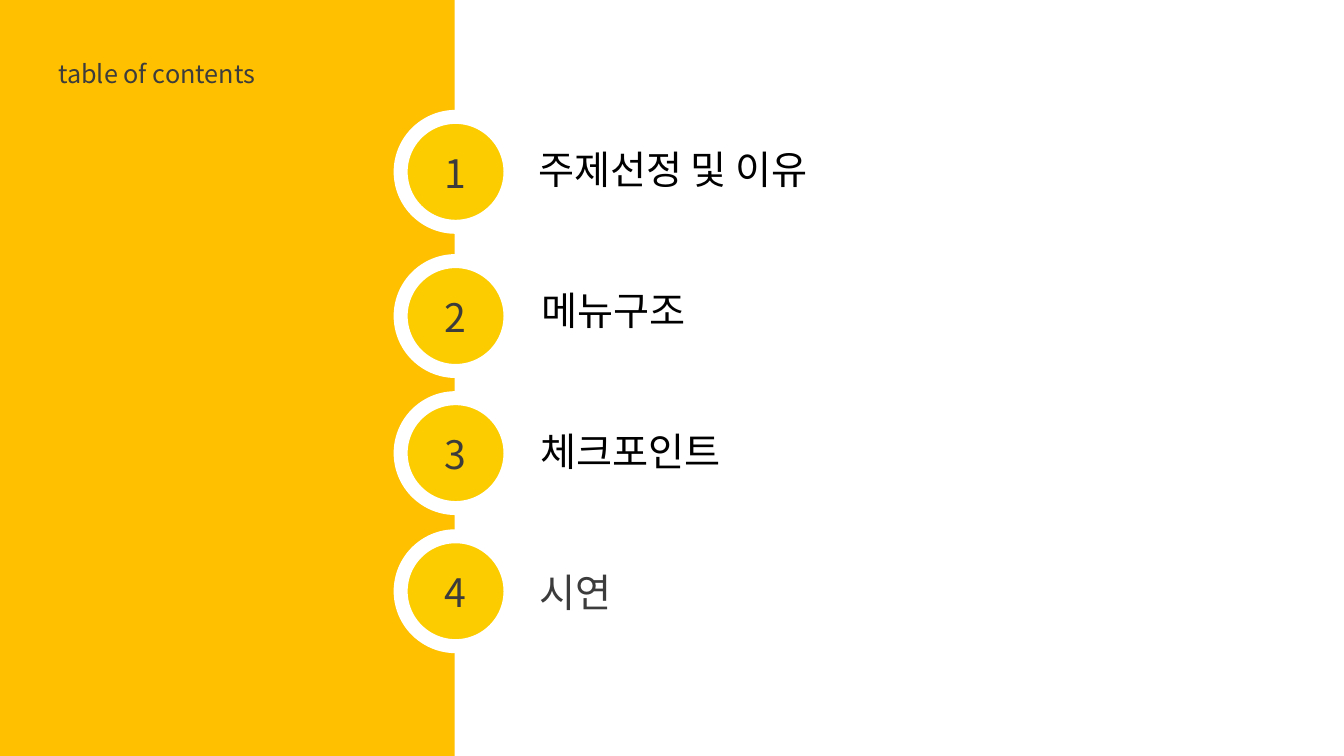
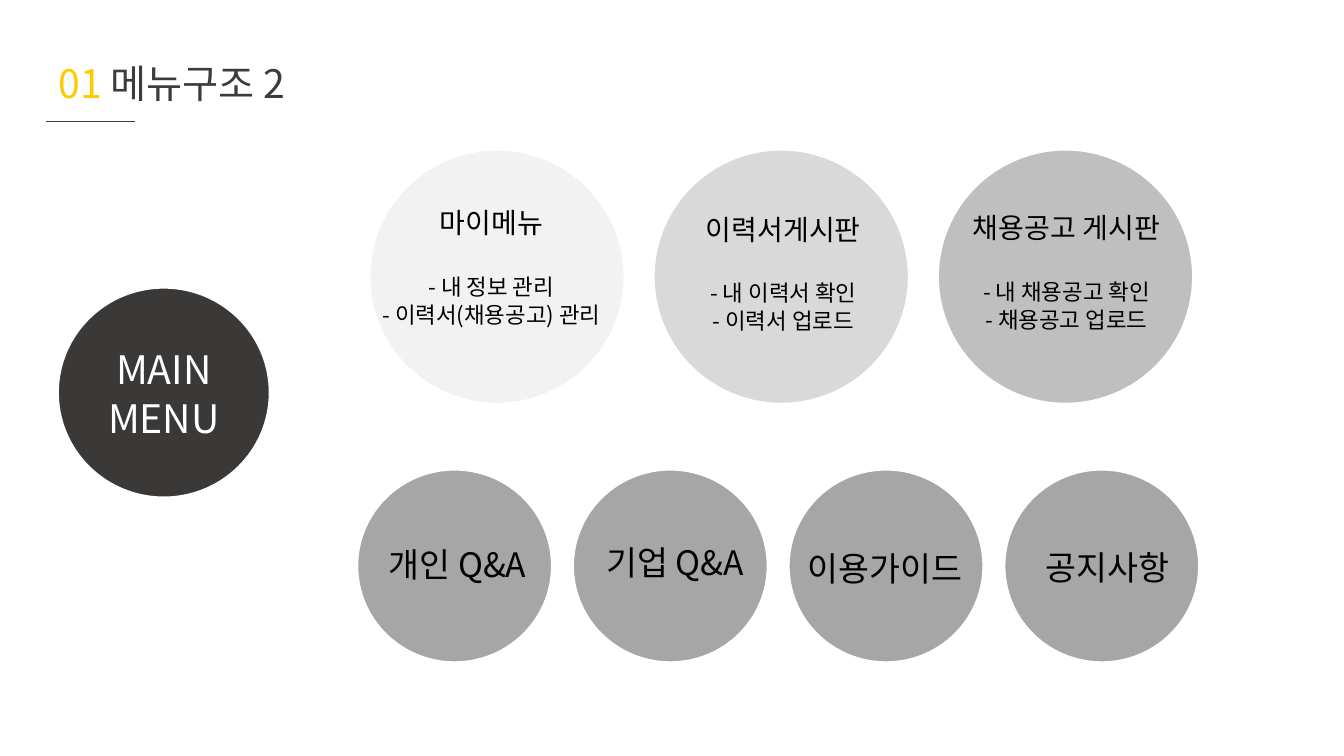
from dataclasses import dataclass

from lxml.etree import SubElement
from pptx import Presentation
from pptx.dml.color import RGBColor
from pptx.enum.shapes import MSO_CONNECTOR, MSO_SHAPE
from pptx.enum.text import MSO_ANCHOR, MSO_AUTO_SIZE, PP_ALIGN
from pptx.oxml.ns import qn
from pptx.util import Inches, Pt

FONT = "Noto Sans CJK KR"
WIDTH, HEIGHT = Inches(13.33), Inches(7.5)
COLS, ROWS = 160, 90
LEADING = 1.25
COLORS = {
    "amber": "FFC000", "yellow": "FCCC00", "white": "FFFFFF",
    "black": "000000", "ink": "3C3C3C", "charcoal": "3B3838",
    "gray1": "F2F2F2", "gray2": "D9D9D9", "gray3": "BFBFBF", "gray4": "A6A6A6",
}


@dataclass(frozen=True)
class Box:
    """A rectangle in grid columns and rows."""
    x: float
    y: float
    w: float
    h: float

    def emu(self) -> tuple[int, int, int, int]:
        """Return left, top, width and height in EMU."""
        return col(self.x), row(self.y), col(self.w), row(self.h)


@dataclass(frozen=True)
class Chapter:
    """A numbered line of the contents."""
    name: str
    badge_y: float
    label_x: float
    color: str = "black"


@dataclass(frozen=True)
class Board:
    """A large menu circle with its heading and items."""
    name: str
    items: tuple[str, ...]
    fill: str
    text: Box


@dataclass(frozen=True)
class Link:
    """A small menu circle with its label position."""
    name: str
    x: float
    y: float


CHAPTERS = (
    Chapter("주제선정 및 이유", 13.92, 62.88),
    Chapter("메뉴구조", 31.08, 63.24),
    Chapter("체크포인트", 47.4, 63.12),
    Chapter("시연", 63.84, 63, "ink"),
)
BOARDS = (
    Board("마이메뉴", ("- 내 정보 관리", "- 이력서(채용공고) 관리"), "gray1",
          Box(41.28, 23.76, 34.44, 15.36)),
    Board("이력서게시판", ("- 내 이력서 확인", "- 이력서 업로드"), "gray2",
          Box(76.68, 24.48, 33.12, 15.36)),
    Board("채용공고 게시판", ("- 내 채용공고 확인", "- 채용공고 업로드"), "gray3",
          Box(110.16, 24.36, 33.6, 15.36)),
)
LINKS = (
    Link("개인 Q&A", 42.72, 64.56),
    Link("기업 Q&A", 68.64, 64.32),
    Link("이용가이드", 93.6, 65.04),
    Link("공지사항", 120.12, 64.92),
)


def col(n: float) -> int:
    """Convert grid columns to EMU."""
    return round(WIDTH * n / COLS)


def row(n: float) -> int:
    """Convert grid rows to EMU."""
    return round(HEIGHT * n / ROWS)


def rgb(name: str) -> RGBColor:
    """Look up a palette colour."""
    return RGBColor.from_string(COLORS[name])


def write(tf, *runs: tuple[str, str], size: float, align=PP_ALIGN.LEFT,
          before: float = 0, first: bool = True) -> None:
    """Write one paragraph of (text, colour) runs."""
    p = tf.paragraphs[0] if first else tf.add_paragraph()
    p.alignment = align
    p.line_spacing = Pt(size * LEADING)
    p.space_before = Pt(before)
    for text, color in runs:
        r = p.add_run()
        r.text = text
        r.font.size = Pt(size)
        r.font.name = FONT
        r.font.color.rgb = rgb(color)
        SubElement(r.font._element, qn("a:ea")).set("typeface", FONT)


def add_text(s, box: Box, grow: bool = True):
    """Add a wrapping text box and return its text frame."""
    tf = s.shapes.add_textbox(*box.emu()).text_frame
    tf.word_wrap = True
    if grow:
        tf.auto_size = MSO_AUTO_SIZE.SHAPE_TO_FIT_TEXT
    else:
        tf.margin_left = tf.margin_right = tf.margin_top = tf.margin_bottom = 0
    return tf


def add_shape(s, kind, box: Box, fill: str, outline: float = 0):
    """Add a filled shape with an optional white outline."""
    sp = s.shapes.add_shape(kind, *box.emu())
    sp.shadow.inherit = False
    sp.fill.solid()
    sp.fill.fore_color.rgb = rgb(fill)
    if outline:
        sp.line.color.rgb = rgb("white")
        sp.line.width = Pt(outline)
    else:
        sp.line.fill.background()
    sp.text_frame.vertical_anchor = MSO_ANCHOR.MIDDLE
    return sp


def add_header(s, *runs: tuple[str, str], size: float) -> None:
    """Add the slide heading."""
    write(add_text(s, Box(5.76, 6.24, 53.28, size * 0.25)), *runs, size=size)


def add_rule(s, x1: float, x2: float, y: float) -> None:
    """Add a thin horizontal rule."""
    ln = s.shapes.add_connector(MSO_CONNECTOR.STRAIGHT, col(x1), row(y), col(x2), row(y))
    ln.line.color.rgb = rgb("ink")
    ln.line.width = Pt(0.5)
    SubElement(ln._element.spPr, qn("a:effectLst"))


def build_contents(s) -> None:
    """Draw the table of contents."""
    add_shape(s, MSO_SHAPE.RECTANGLE, Box(0, 0, 54.12, ROWS), "amber")
    add_header(s, ("table of contents", "ink"), size=18)
    for i, c in enumerate(CHAPTERS):
        sp = add_shape(s, MSO_SHAPE.OVAL, Box(47.7, c.badge_y, 13.08, 13.08), "yellow", 10)
        write(sp.text_frame, (str(i + 1), "ink"), size=28, align=PP_ALIGN.CENTER)
        tf = add_text(s, Box(c.label_x, 16.44 + 16.8 * i, 88.56, 6.84))
        write(tf, (c.name, c.color), size=28, align=PP_ALIGN.JUSTIFY)


def build_menu(s) -> None:
    """Draw the menu structure."""
    add_header(s, ("01 ", "yellow"), ("메뉴구조 2", "ink"), size=28)
    add_rule(s, 5.52, 16.08, 14.46)
    sp = add_shape(s, MSO_SHAPE.OVAL, Box(5.76, 33.12, 27.48, 27.24), "charcoal", 15)
    for i, word in enumerate(("MAIN", "MENU")):
        write(sp.text_frame, (word, "white"), size=28, align=PP_ALIGN.CENTER, first=i == 0)
    for i, b in enumerate(BOARDS):
        add_shape(s, MSO_SHAPE.OVAL, Box(42.84 + 33.84 * i, 16.68, 32.64, 32.52), b.fill, 15)
        tf = add_text(s, b.text)
        write(tf, (b.name, "black"), size=20, align=PP_ALIGN.CENTER)
        for j, item in enumerate(b.items):
            write(tf, (item, "black"), size=16, align=PP_ALIGN.CENTER,
                  before=0 if j else 23, first=False)
    for i, k in enumerate(LINKS):
        add_shape(s, MSO_SHAPE.OVAL, Box(41.4 + 25.68 * i, 54.78, 25.44, 25.2), "gray4", 15)
        tf = add_text(s, Box(k.x, k.y, 23.52, 4.8), grow=False)
        write(tf, (k.name, "black"), size=24, align=PP_ALIGN.CENTER)


def main() -> None:
    """Build and save the presentation."""
    prs = Presentation()
    prs.slide_width, prs.slide_height = WIDTH, HEIGHT
    for build in (build_contents, build_menu):
        build(prs.slides.add_slide(prs.slide_layouts[6]))
    prs.save("out.pptx")


if __name__ == "__main__":
    main()
